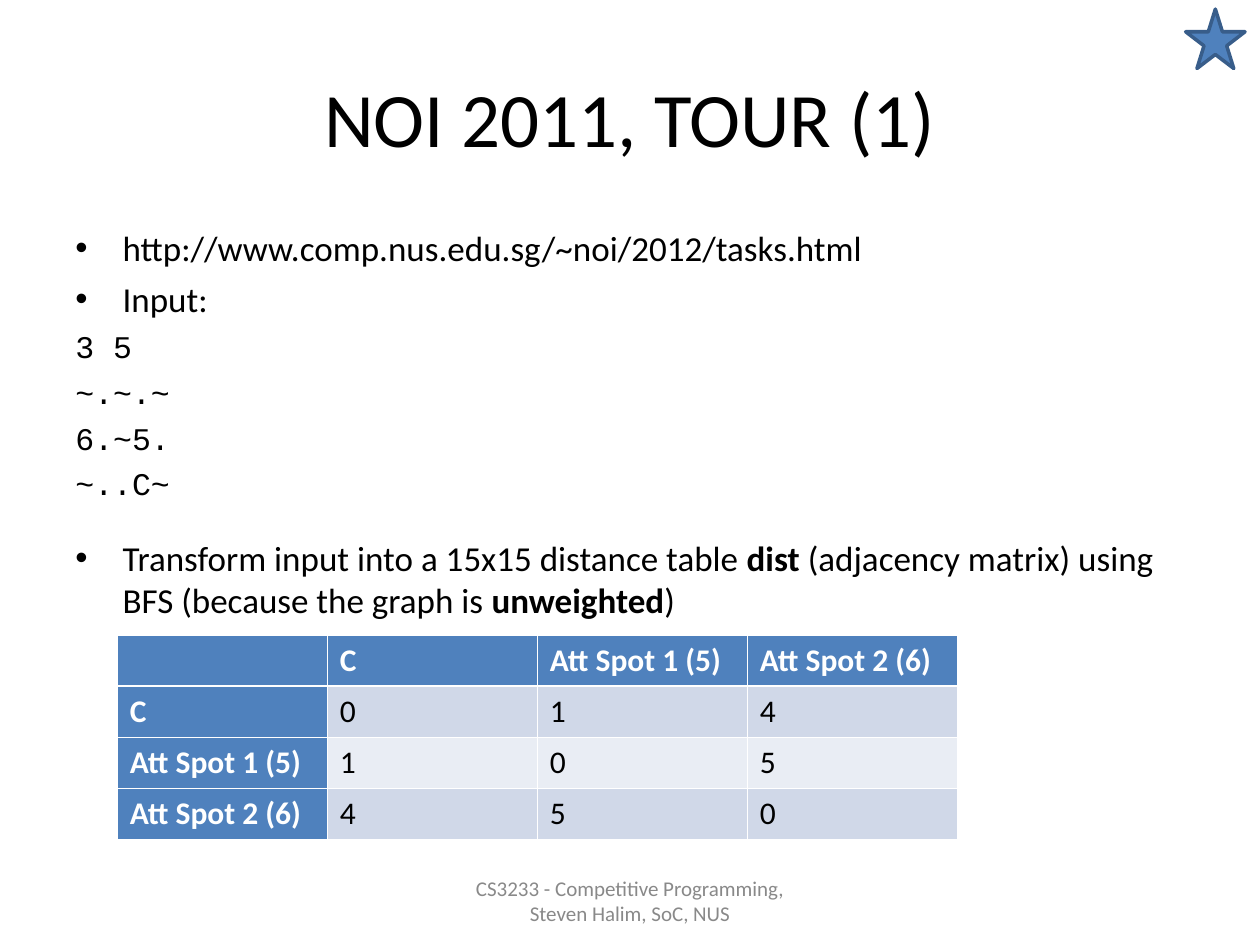
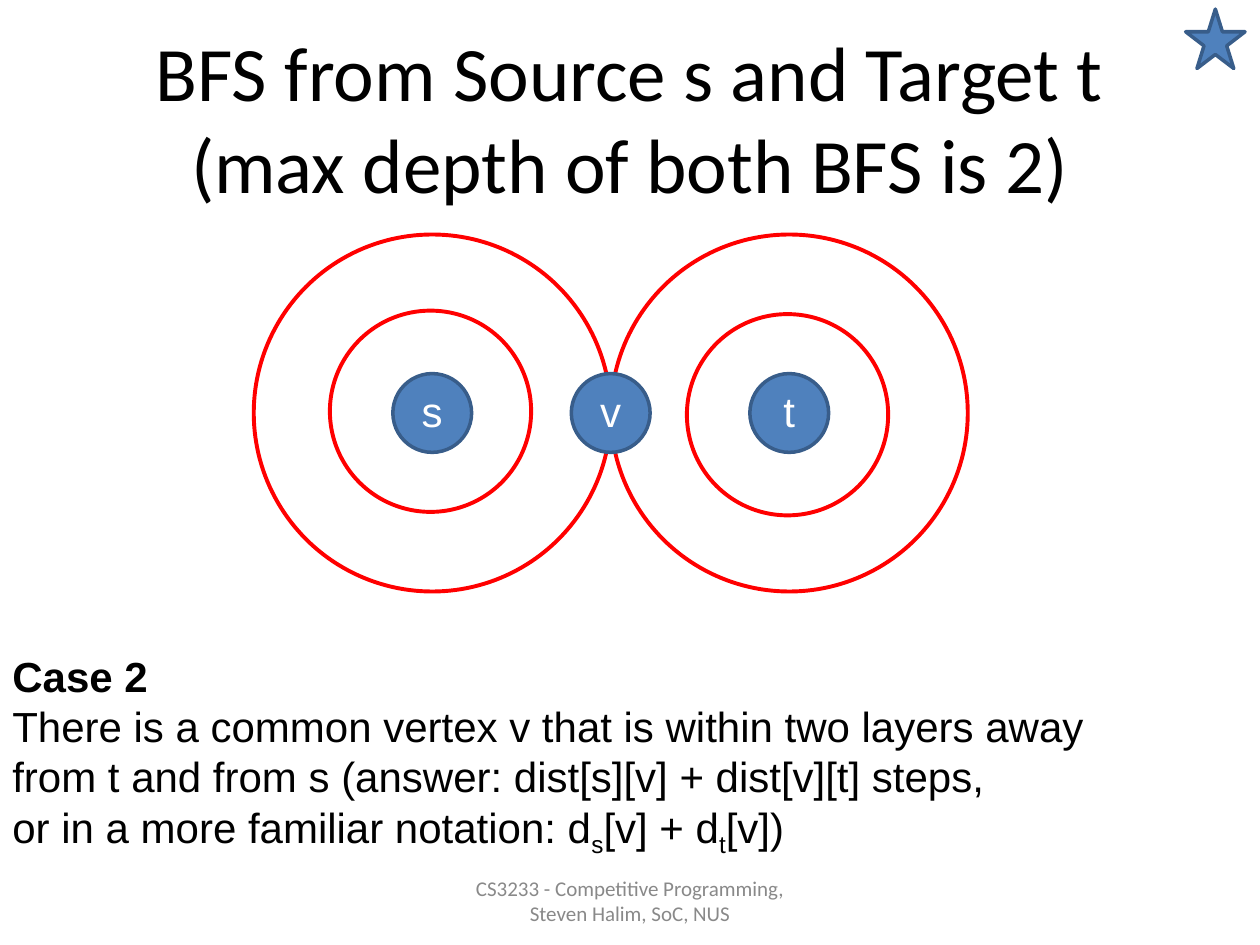
from copy import deepcopy
from dataclasses import dataclass
from typing import Any, NamedTuple

from lxml import etree
from pptx import Presentation
from pptx import util as u
from pptx.dml.color import RGBColor
from pptx.enum import shapes, text
from pptx.oxml.ns import qn

BLACK = RGBColor(0x00, 0x00, 0x00)
WHITE = RGBColor(0xFF, 0xFF, 0xFF)
GREY = RGBColor(0x89, 0x89, 0x89)
BLUE = RGBColor(0x4F, 0x81, 0xBD)
DARK_BLUE = RGBColor(0x38, 0x5D, 0x8A)
RED = RGBColor(0xFF, 0x00, 0x00)
BAND_DARK = RGBColor(0xD0, 0xD8, 0xE8)
BAND_LIGHT = RGBColor(0xE9, 0xED, 0xF4)

TITLE_ONLY = 5
BULLET_INDENT = u.Pt(27)
FOOTER = "CS3233 - Competitive Programming,\nSteven Halim, SoC, NUS"
CENTER, LEFT = text.PP_ALIGN.CENTER, text.PP_ALIGN.LEFT
TOP, MIDDLE = text.MSO_ANCHOR.TOP, text.MSO_ANCHOR.MIDDLE


class Style(NamedTuple):
    name: str
    size: float
    color: RGBColor = BLACK
    bold: bool = False


TITLE_STYLE = Style("Calibri", 44)
BODY_STYLE = Style("Calibri", 20)
CODE_STYLE = Style("Courier New", 18)
FOOTER_STYLE = Style("Calibri", 12, GREY)
HEADER_STYLE = Style("Calibri", 18, WHITE, True)
CELL_STYLE = Style("Calibri", 18)
NODE_STYLE = Style("Arial", 24, WHITE)
CASE_STYLE = Style("Arial", 24)


class Span(NamedTuple):
    words: str
    bold: bool = False
    subscript: bool = False


@dataclass
class Para:
    spans: list[Span]
    style: Style
    space_before: float = 0
    bullet: bool = False
    hanging: bool = False


class Frame(NamedTuple):
    left: float
    top: float
    width: float
    height: float

    def lengths(self) -> list[int]:
        return [u.Pt(value) for value in self]


class Circle(NamedTuple):
    x: float
    y: float
    diameter: float

    def frame(self) -> Frame:
        radius = self.diameter / 2
        return Frame(self.x - radius, self.y - radius, self.diameter, self.diameter)


def plain(words: str, style: Style) -> list[Para]:
    return [Para([Span(words)], style)]


def add_span(para: Any, words: str, style: Style, span: Span) -> Any:
    run = para.add_run()
    run.text = words
    formats = {"name": style.name, "size": u.Pt(style.size), "bold": style.bold or span.bold}
    for key, value in formats.items():
        setattr(run.font, key, value)
    run.font.color.rgb = style.color
    if span.subscript:
        run._r.get_or_add_rPr().set("baseline", "-25000")
    return run


def indent(para: Any, bullet: bool) -> None:
    """Give the paragraph a hanging indent, with a bullet if wanted."""
    props = para._p.get_or_add_pPr()
    props.set("marL", str(BULLET_INDENT))
    props.set("indent", str(-BULLET_INDENT))
    if bullet:
        color = etree.SubElement(props, qn("a:buClr"))
        etree.SubElement(color, qn("a:srgbClr"), val=str(BLACK))
        etree.SubElement(props, qn("a:buFont"), typeface="Arial")
        etree.SubElement(props, qn("a:buChar"), char="•")


def write(frame: Any, paras: list[Para], align: Any = LEFT) -> None:
    for index, content in enumerate(paras):
        para = frame.add_paragraph() if index else frame.paragraphs[0]
        if content.hanging or content.bullet:
            indent(para, content.bullet)
        para.alignment = align
        para.space_before = u.Pt(content.space_before)
        for span in content.spans:
            for number, line in enumerate(span.words.split("\n")):
                if number:
                    para.add_line_break()
                    para._p[-1].append(deepcopy(run._r.get_or_add_rPr()))
                run = add_span(para, line, content.style, span)


def set_frame(frame: Any, anchor: Any) -> None:
    formats = {"word_wrap": True, "auto_size": text.MSO_AUTO_SIZE.NONE, "vertical_anchor": anchor}
    for key, value in formats.items():
        setattr(frame, key, value)


def add_text(page: Any, place: Frame, paras: list[Para], align: Any = LEFT, anchor: Any = TOP) -> None:
    box = page.shapes.add_textbox(*place.lengths())
    set_frame(box.text_frame, anchor)
    write(box.text_frame, paras, align)


def add_outlined(page: Any, kind: Any, place: Frame, line: RGBColor, width: float,
                 fill: RGBColor | None = None) -> Any:
    shape = page.shapes.add_shape(kind, *place.lengths())
    shape.shadow.inherit = False
    if fill is None:
        shape.fill.background()
    else:
        shape.fill.solid()
        shape.fill.fore_color.rgb = fill
    shape.line.color.rgb = line
    shape.line.width = u.Pt(width)
    return shape


def add_page(deck: Any, title: str) -> Any:
    """Add a slide with the shared title, star and footer."""
    page = deck.slides.add_slide(deck.slide_layouts[TITLE_ONLY])
    heading = page.shapes.title
    places = zip(("left", "top", "width", "height"), Frame(36, 21.6, 648, 90).lengths())
    for key, value in places:
        setattr(heading, key, value)
    set_frame(heading.text_frame, MIDDLE)
    write(heading.text_frame, plain(title, TITLE_STYLE), CENTER)
    add_text(page, Frame(246, 500.4, 228, 28.8), plain(FOOTER, FOOTER_STYLE), CENTER, MIDDLE)
    add_outlined(page, shapes.MSO_SHAPE.STAR_5_POINT, Frame(677.5, 5.2, 34, 34), DARK_BLUE, 2, BLUE)
    return page


def add_border(cell: Any, side: str, width: float) -> None:
    line = etree.SubElement(cell._tc.get_or_add_tcPr(), qn(f"a:ln{side}"), w=str(u.Pt(width)))
    fill = etree.SubElement(line, qn("a:solidFill"))
    etree.SubElement(fill, qn("a:srgbClr"), val=str(WHITE))


def add_distance_table(page: Any, place: Frame, spots: list[str], distances: list[list[int]]) -> None:
    rows = [["", *spots]] + [[spot, *map(str, row)] for spot, row in zip(spots, distances)]
    table = page.shapes.add_table(len(rows), len(rows[0]), *place.lengths()).table
    for r, row in enumerate(rows):
        for c, words in enumerate(row):
            cell = table.cell(r, c)
            is_header = r == 0 or c == 0
            thick_side = {0: "B", 1: "T"}.get(r)
            for side in "LRTB":
                add_border(cell, side, 1.5 if side == thick_side else 0.5)
            cell.fill.solid()
            cell.fill.fore_color.rgb = BLUE if is_header else BAND_DARK if r % 2 else BAND_LIGHT
            if words:
                write(cell.text_frame, plain(words, HEADER_STYLE if is_header else CELL_STYLE))


def add_node(page: Any, label: str, circle: Circle) -> None:
    node = add_outlined(page, shapes.MSO_SHAPE.OVAL, circle.frame(), DARK_BLUE, 2, BLUE)
    frame = node.text_frame
    set_frame(frame, MIDDLE)
    margins = {"margin_left": 0, "margin_right": 0, "margin_top": 0, "margin_bottom": u.Pt(3)}
    for key, value in margins.items():
        setattr(frame, key, value)
    write(frame, plain(label, NODE_STYLE), CENTER)


def build_tour(deck: Any) -> None:
    page = add_page(deck, "NOI 2011, TOUR (1)")
    code = ["3 5", "~.~.~", "6.~5.", "~..C~"]
    task = [
        Span("Transform input into a 15x15 distance table "),
        Span("dist", bold=True),
        Span(" (adjacency matrix) using BFS (because the graph is "),
        Span("unweighted", bold=True),
        Span(")"),
    ]
    paras = [
        Para([Span("http://www.comp.nus.edu.sg/~noi/2012/tasks.html")], BODY_STYLE, bullet=True),
        Para([Span("Input:")], BODY_STYLE, 5, bullet=True),
        *(Para([Span(line)], CODE_STYLE, 4.5, hanging=True) for line in code),
        Para(task, BODY_STYLE, 19.7, bullet=True),
    ]
    add_text(page, Frame(36, 126, 648, 356), paras)
    add_distance_table(page, Frame(67, 363, 480, 116.8), ["C", "Att Spot 1 (5)", "Att Spot 2 (6)"],
                       [[0, 1, 4], [1, 0, 5], [4, 5, 0]])


def build_search(deck: Any) -> None:
    page = add_page(deck, "BFS from Source s and Target t\n(max depth of both BFS is 2)")
    source_x, middle_y, outer, inner, node = 247, 236, 204, 115, 45
    target_x = source_x + outer
    rings = [
        Circle(source_x - 1, middle_y - 1, inner),
        Circle(source_x, middle_y, outer),
        Circle(target_x - 1, middle_y + 1, inner),
        Circle(target_x, middle_y, outer),
    ]
    for ring in rings:
        add_outlined(page, shapes.MSO_SHAPE.OVAL, ring.frame(), RED, 2.25)
    for index, label in enumerate("svt"):
        add_node(page, label, Circle(source_x + index * outer / 2, middle_y, node))
    answer = [
        Span("There is a common vertex v that is within two layers away\n"
             "from t and from s (answer: dist[s][v] + dist[v][t] steps,\n"
             "or in a more familiar notation: d"),
        Span("s", subscript=True),
        Span("[v] + d"),
        Span("t", subscript=True),
        Span("[v])"),
    ]
    paras = [Para([Span("Case 2", bold=True)], CASE_STYLE), Para(answer, CASE_STYLE)]
    add_text(page, Frame(0, 368, 720, 127), paras)


def main() -> None:
    deck = Presentation()
    deck.slide_width, deck.slide_height = u.Pt(720), u.Pt(540)
    build_tour(deck)
    build_search(deck)
    deck.save("out.pptx")


if __name__ == "__main__":
    main()
